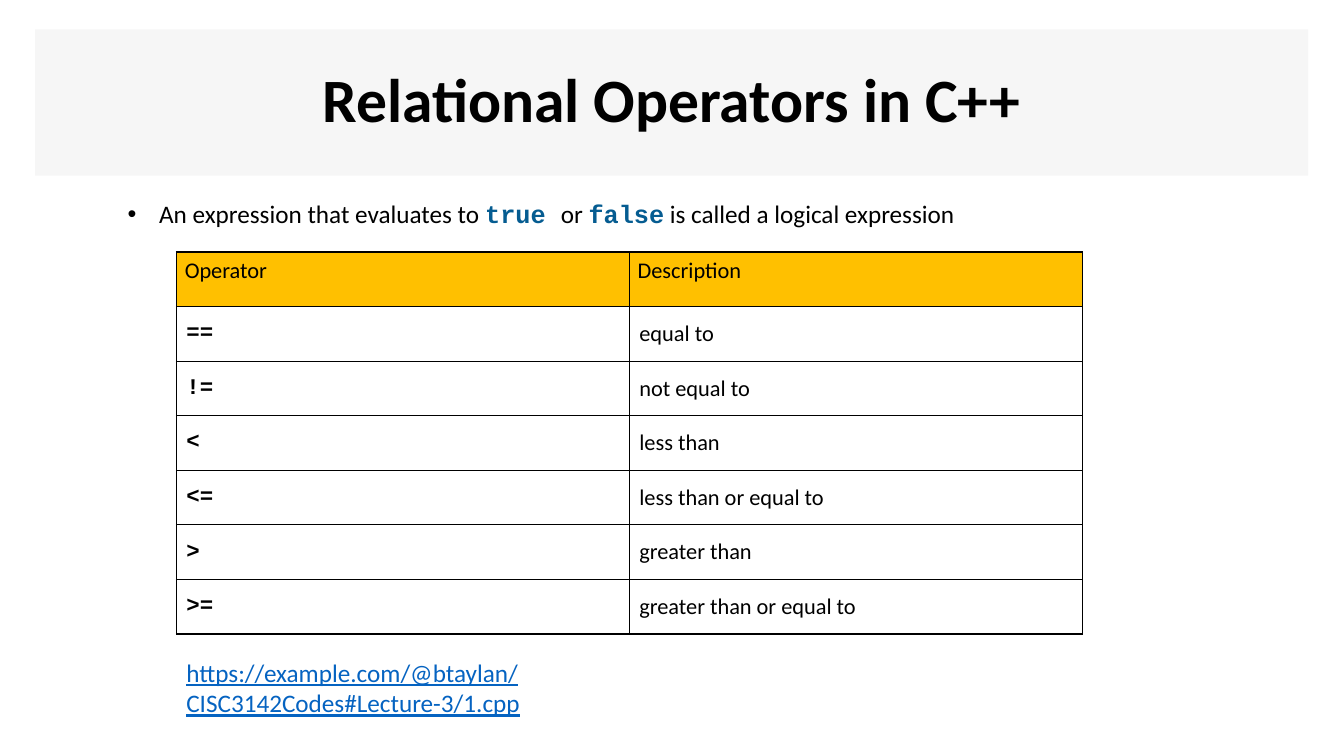
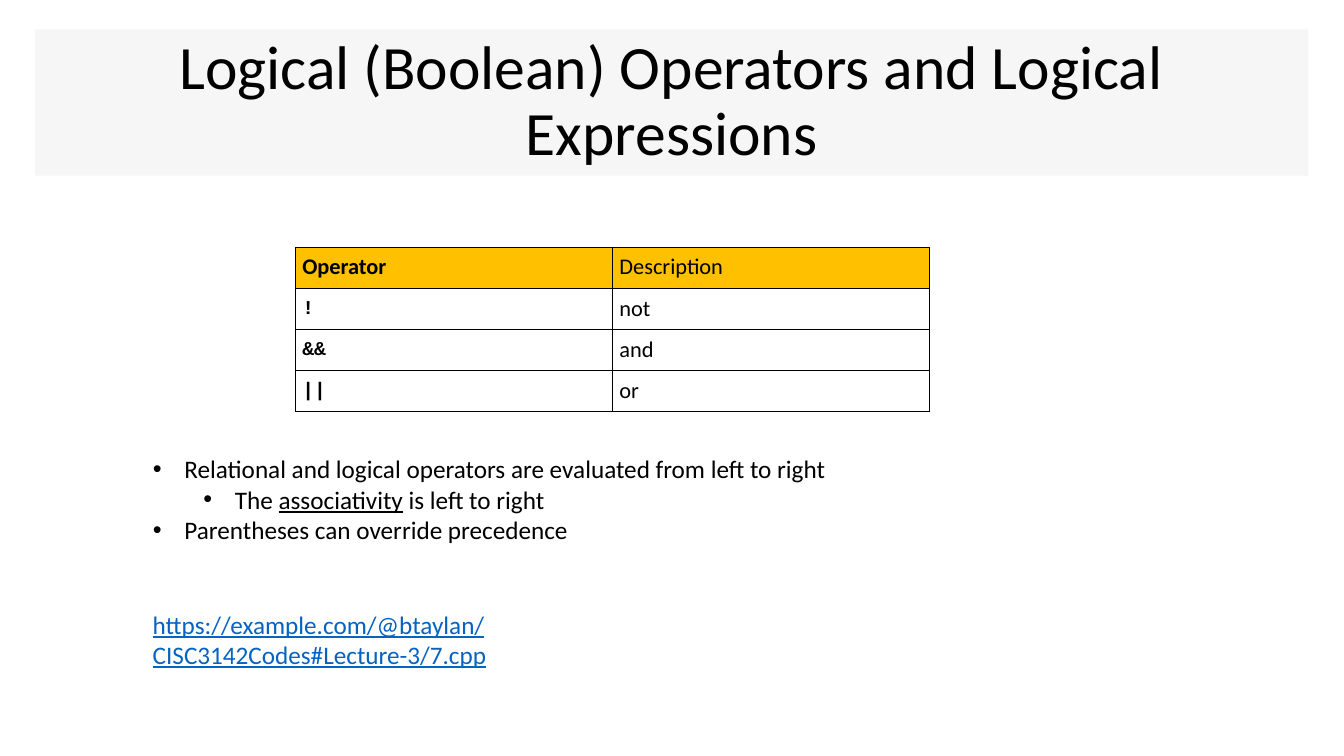
from lxml import etree
from pptx import Presentation
from pptx import util as u
from pptx.dml import color
from pptx.enum import text
from pptx.oxml import ns

BLACK, WHITE, BAND, AMBER = "000000", "FFFFFF", "E7E6E6", "FFC000"
CODE_BLUE, LINK_BLUE = "055C91", "0563C1"
BODY_FONT, CODE_FONT = "Calibri", "Courier New"
CODE_WORD = dict(font=CODE_FONT, hex_color=CODE_BLUE, bold=True)


def rgb(hex_color):
    return color.RGBColor.from_string(hex_color)


def add_xml(parent, tag, **attributes):
    return etree.SubElement(parent, ns.qn(tag), attributes)


def style_run(run, size, font=BODY_FONT, hex_color=BLACK, bold=False, underline=False):
    run.font.size, run.font.name = u.Pt(size), font
    run.font.bold, run.font.underline = bold, underline
    run.font.color.rgb = rgb(hex_color)


def place(shape, left, top, width, height):
    shape.left, shape.top = u.Pt(left), u.Pt(top)
    shape.width, shape.height = u.Pt(width), u.Pt(height)


class Lecture:
    """Holds the lecture's style and the slide being filled."""

    title_size, text_size, table_size = 44, 18, 16
    bullet_hang, level_step = 22.5, 36

    def __init__(self):
        self.deck = Presentation()
        self.deck.slide_width, self.deck.slide_height = u.Pt(960), u.Pt(540)
        self.slide = None

    def start_slide(self, heading, bold=False):
        self.slide = self.deck.slides.add_slide(self.deck.slide_layouts[1])
        title = self.slide.shapes.title
        place(title, 25, 21, 909.5, 104.5)
        title.fill.solid()
        title.fill.fore_color.rgb = rgb(BAND)
        band_color = title.element.spPr.find(".//" + ns.qn("a:srgbClr"))
        add_xml(band_color, "a:alpha", val="35000")
        frame = title.text_frame
        frame.text = heading
        frame.auto_size = text.MSO_AUTO_SIZE.NONE
        frame.vertical_anchor = text.MSO_ANCHOR.MIDDLE
        line = frame.paragraphs[0]
        line.alignment, line.line_spacing = text.PP_ALIGN.CENTER, 0.9
        style_run(line.runs[0], self.title_size, bold=bold)

    def bullets(self, left, top, width, height, points):
        """Fill the body; each point is a level and its (text, style) pieces."""
        body = self.slide.placeholders[1]
        place(body, left, top, width, height)
        frame = body.text_frame
        frame.auto_size = text.MSO_AUTO_SIZE.NONE
        for index, (level, pieces) in enumerate(points):
            point = frame.add_paragraph() if index else frame.paragraphs[0]
            point.level, point.space_before = level, u.Pt(0)
            for words, style in pieces:
                run = point.add_run()
                run.text = words
                style_run(run, self.text_size, **style)
            properties = point._p.get_or_add_pPr()
            indent = self.bullet_hang + level * self.level_step
            properties.set("marL", str(u.Pt(indent)))
            properties.set("indent", str(-u.Pt(self.bullet_hang)))
            add_xml(properties, "a:buFont", typeface="Arial")
            add_xml(properties, "a:buChar", char="•")

    def operator_table(self, left, top, column_width, row_height, operators,
                       head_inset, row_inset, code_size, bold_head=False):
        rows = [("Operator", "Description"), *operators]
        table = self.slide.shapes.add_table(
            len(rows), 2, u.Pt(left), u.Pt(top),
            u.Pt(2 * column_width), u.Pt(row_height * len(rows))).table
        table.first_row = table.horz_banding = False
        for column in table.columns:
            column.width = u.Pt(column_width)
        for r, row in enumerate(rows):
            table.rows[r].height = u.Pt(row_height)
            for c, words in enumerate(row):
                cell = table.cell(r, c)
                is_code = r > 0 and c == 0
                self.fill_cell(cell, words, WHITE if r else AMBER,
                               row_inset if r else head_inset,
                               size=code_size if is_code else self.table_size,
                               font=CODE_FONT if is_code else BODY_FONT,
                               bold=is_code or (bold_head and c == 0))
                if r:
                    cell.vertical_anchor = text.MSO_ANCHOR.MIDDLE

    def fill_cell(self, cell, words, background, inset, **style):
        cell.text = words
        style_run(cell.text_frame.paragraphs[0].runs[0], **style)
        cell.margin_left = cell.margin_right = u.Pt(inset)
        properties = cell._tc.get_or_add_tcPr()
        for side in "LRTB":
            border = add_xml(properties, f"a:ln{side}", w=str(u.Pt(1)))
            add_xml(add_xml(border, "a:solidFill"), "a:srgbClr", val=BLACK)
        cell.fill.solid()
        cell.fill.fore_color.rgb = rgb(background)

    def web_address(self, left, top, address):
        box = self.slide.shapes.add_textbox(u.Pt(left), u.Pt(top), u.Pt(480), u.Pt(29))
        box.text_frame.word_wrap = True
        box.text_frame.text = address
        style_run(box.text_frame.paragraphs[0].runs[0], self.text_size,
                  hex_color=LINK_BLUE, underline=True)


def main():
    lecture = Lecture()

    lecture.start_slide("Relational Operators in C++", bold=True)
    lecture.bullets(84, 138, 800, 29, [
        (0, [("An expression that evaluates to ", {}), ("true ", CODE_WORD),
             ("or ", {}), ("false", CODE_WORD),
             (" is called a logical expression", {})]),
    ])
    lecture.operator_table(126, 180, 323.5, 39, [
        ("==", "equal to"),
        ("!=", "not equal to"),
        ("<", "less than"),
        ("<=", "less than or equal to"),
        (">", "greater than"),
        (">=", "greater than or equal to"),
    ], head_inset=6, row_inset=7.2, code_size=16)
    lecture.web_address(126, 466, "https://example.com/@btaylan/CISC3142Codes#Lecture-3/1.cpp")

    lecture.start_slide("Logical (Boolean) Operators and Logical Expressions")
    lecture.operator_table(211, 177, 226.5, 29.2, [
        ("!", "not"),
        ("&&", "and"),
        ("||", "or"),
    ], head_inset=5, row_inset=5, code_size=14, bold_head=True)
    lecture.bullets(102, 320.5, 590, 73, [
        (0, [("Relational and logical operators are evaluated from left to right", {})]),
        (1, [("The ", {}), ("associativity", dict(underline=True)),
             (" is left to right", {})]),
        (0, [("Parentheses can override precedence", {})]),
    ])
    lecture.web_address(102, 431.5, "https://example.com/@btaylan/CISC3142Codes#Lecture-3/7.cpp")

    lecture.deck.save("out.pptx")


if __name__ == "__main__":
    main()
